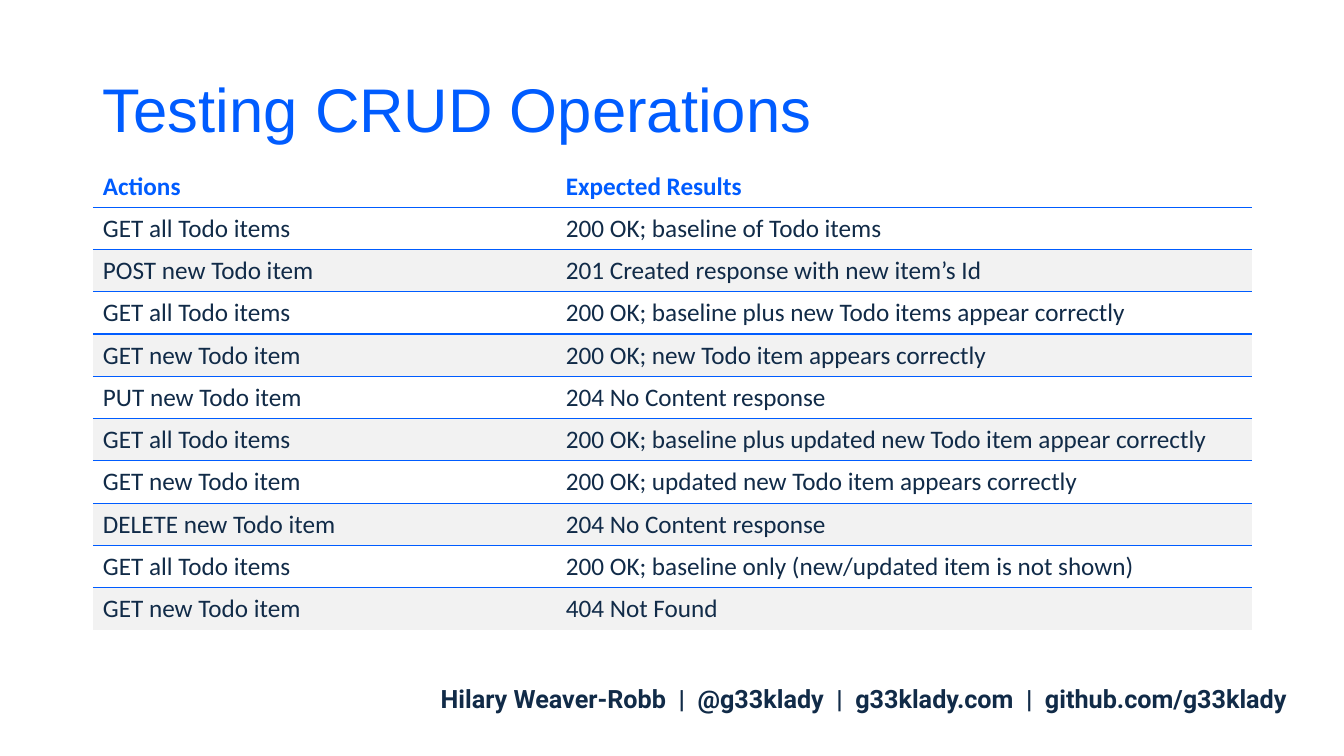
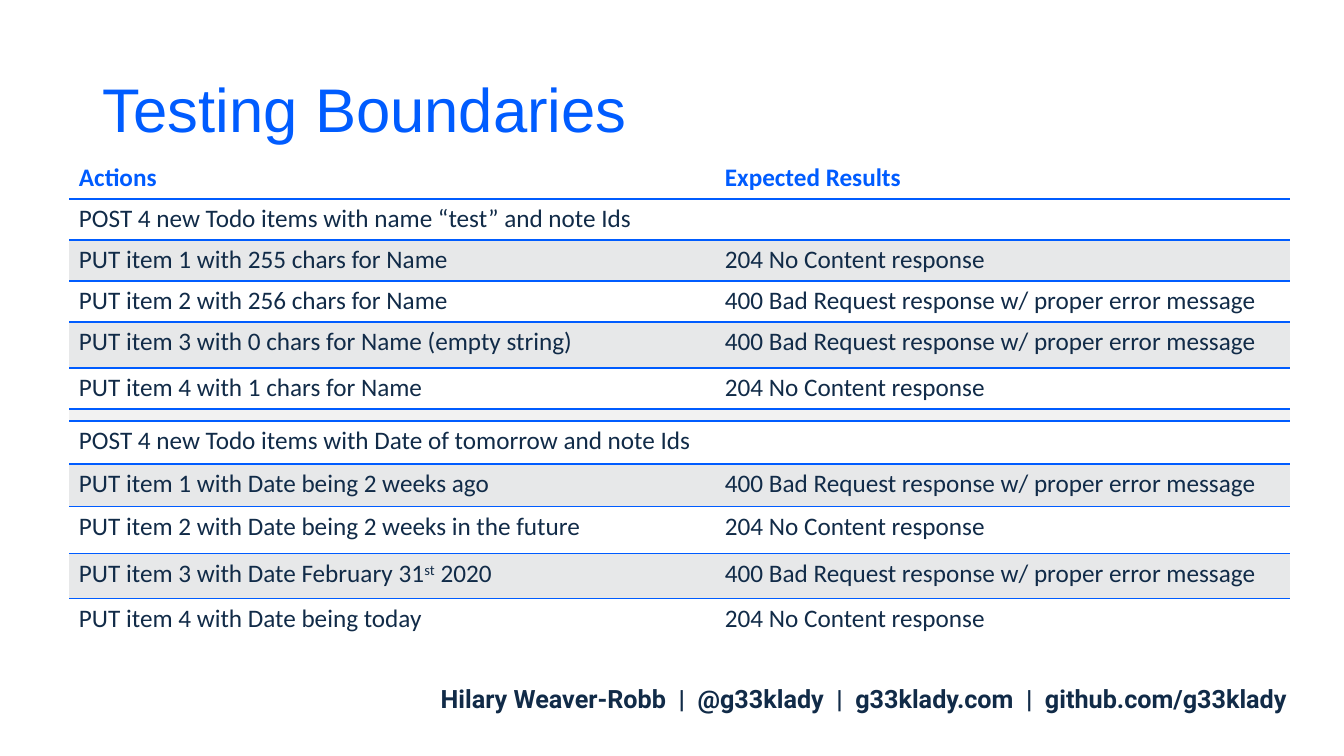
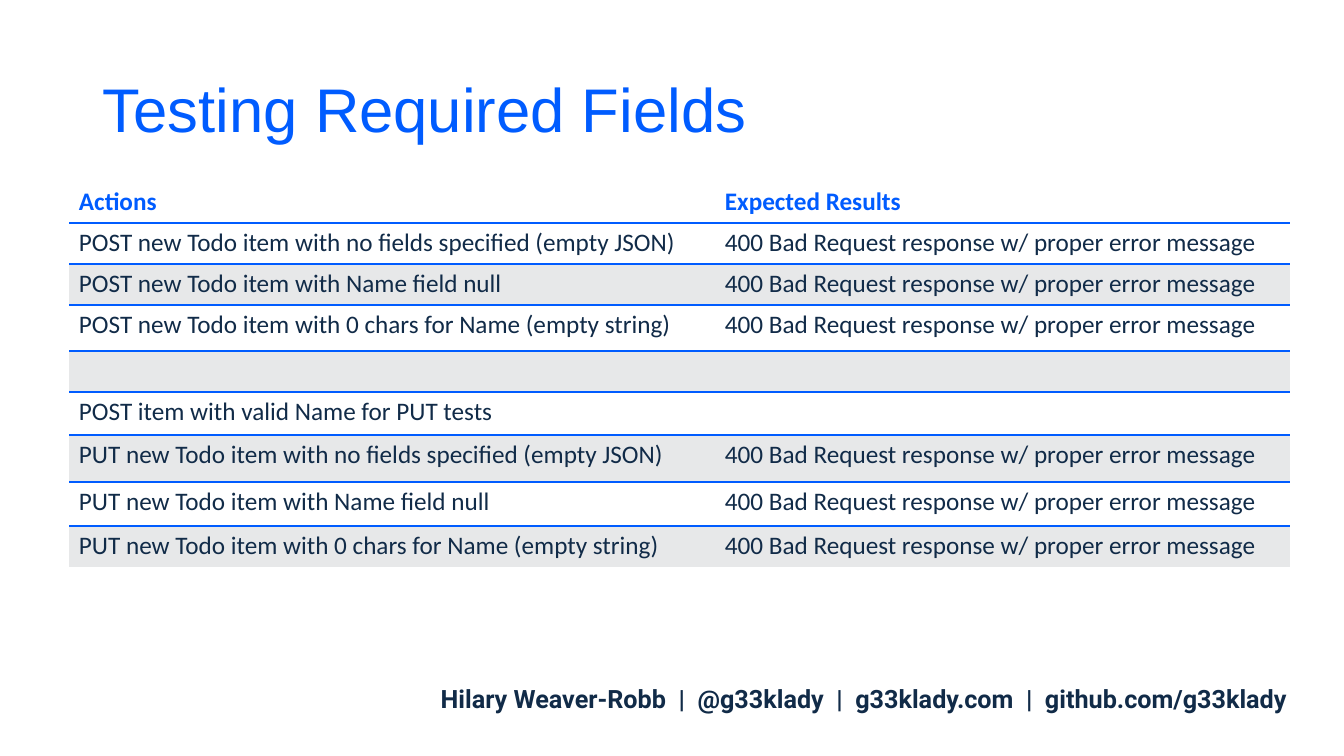
from lxml.etree import SubElement
from pptx import Presentation
from pptx.dml.color import RGBColor
from pptx.enum.text import MSO_ANCHOR as Anchor, PP_ALIGN as Align
from pptx.oxml.ns import qn
from pptx.util import Pt

PX = 12192000 / 1344
BLUE, NAVY, WHITE, PALE, GREY = "005CFF", "112B48", "FFFFFF", "F2F2F2", "E7E8E9"
FOOT = "Hilary Weaver-Robb  |  @g33klady  |  g33klady.com  |  github.com/g33klady"
HEAD = ("Actions", "Expected Results")
BAD = "400 Bad Request response w/ proper error message"
DONE = "204 No Content response"
ALL, NEW = "GET all Todo items", "GET new Todo item"
GAP = 12


def px(n):
    return round(n * PX)


def style(run, face, size, color, bold=False):
    font = run.font
    font.name, font.size, font.bold = face, Pt(size), bold
    font.color.rgb = RGBColor.from_string(color)


pages = [
    ("Testing CRUD Operations", 93, 165, (463, 696), [42] * 11, 6, PALE, [
        HEAD,
        (ALL, "200 OK; baseline of Todo items"),
        ("POST new Todo item", "201 Created response with new item’s Id"),
        (ALL, "200 OK; baseline plus new Todo items appear correctly"),
        (NEW, "200 OK; new Todo item appears correctly"),
        ("PUT new Todo item", DONE),
        (ALL, "200 OK; baseline plus updated new Todo item appear correctly"),
        (NEW, "200 OK; updated new Todo item appears correctly"),
        ("DELETE new Todo item", DONE),
        (ALL, "200 OK; baseline only (new/updated item is not shown)"),
        (NEW, "404 Not Found"),
    ]),
    ("Testing Boundaries", 69, 158, (646, 575),
     [41, 41, 41, 41, 46, 41, GAP, 43, 43, 47, 45, 41], 5, GREY, [
        HEAD,
        ("POST 4 new Todo items with name “test” and note Ids", ""),
        ("PUT item 1 with 255 chars for Name", DONE),
        ("PUT item 2 with 256 chars for Name", BAD),
        ("PUT item 3 with 0 chars for Name (empty string)", BAD),
        ("PUT item 4 with 1 chars for Name", DONE),
        ("", ""),
        ("POST 4 new Todo items with Date of tomorrow and note Ids", ""),
        ("PUT item 1 with Date being 2 weeks ago", BAD),
        ("PUT item 2 with Date being 2 weeks in the future", DONE),
        ("PUT item 3 with Date February 31^st^ 2020", BAD),
        ("PUT item 4 with Date being today", DONE),
    ]),
    ("Testing Required Fields", 69, 182, (646, 575),
     [41, 41, 41, 46, 41, 43, 47, 44, 41], 5, GREY, [
        HEAD,
        ("POST new Todo item with no fields specified (empty JSON)", BAD),
        ("POST new Todo item with Name field null", BAD),
        ("POST new Todo item with 0 chars for Name (empty string)", BAD),
        ("", ""),
        ("POST item with valid Name for PUT tests", ""),
        ("PUT new Todo item with no fields specified (empty JSON)", BAD),
        ("PUT new Todo item with Name field null", BAD),
        ("PUT new Todo item with 0 chars for Name (empty string)", BAD),
    ]),
]

deck = Presentation()
deck.slide_width, deck.slide_height = px(1344), px(756)

for title, left, top, cols, rows, pad, band, data in pages:
    slide = deck.slides.add_slide(deck.slide_layouts[6])
    labels = [
        (title, (93, 40, 1159, 146), "Arial", 44, BLUE, False, Align.LEFT, Anchor.MIDDLE, 0.9),
        (FOOT, (410, 678, 908, 40), "Roboto", 18, NAVY, True, Align.CENTER, Anchor.TOP, 1.0),
    ]
    for text, box, face, size, color, bold, align, anchor, space in labels:
        frame = slide.shapes.add_textbox(*map(px, box)).text_frame
        frame.word_wrap = True
        frame.vertical_anchor = anchor
        frame.text = text
        para = frame.paragraphs[0]
        para.alignment, para.line_spacing = align, space
        style(para.runs[0], face, size, color, bold)

    table = slide.shapes.add_table(
        len(rows), 2, px(left), px(top), px(sum(cols)), px(sum(rows))).table
    table.first_row = table.horz_banding = False
    for col, width in zip(table.columns, cols):
        col.width = px(width)
    for r, (high, line) in enumerate(zip(rows, data)):
        table.rows[r].height = px(high)
        slim = high == GAP
        if slim:
            table.cell(r, 0).merge(table.cell(r, 1))
        for c, text in enumerate(line):
            cell = table.cell(r, c)
            cell.margin_left = cell.margin_right = px(10)
            cell.margin_top = cell.margin_bottom = px(0 if slim else pad)
            prop = cell._tc.get_or_add_tcPr()
            drawn = {"T": r > 0, "B": r < len(rows) - 1}
            for side in "LRTB":
                edge = SubElement(prop, qn("a:ln" + side), w="12700")
                if drawn.get(side):
                    fill = SubElement(edge, qn("a:solidFill"))
                    SubElement(fill, qn("a:srgbClr"), val=BLUE)
                else:
                    SubElement(edge, qn("a:noFill"))
            cell.fill.solid()
            tone = PALE if slim else WHITE if r % 2 or r == 0 else band
            cell.fill.fore_color.rgb = RGBColor.from_string(tone)
            para = cell.text_frame.paragraphs[0]
            if not text:
                size = "600" if slim else "1800"
                SubElement(para._p, qn("a:endParaRPr"), sz=size)
                continue
            for i, part in enumerate(text.split("^")):
                run = para.add_run()
                run.text = part
                style(run, "Calibri", 18, NAVY if r else BLUE, r == 0)
                if i % 2:
                    run._r.get_or_add_rPr().set("baseline", "30000")

deck.save("out.pptx")
